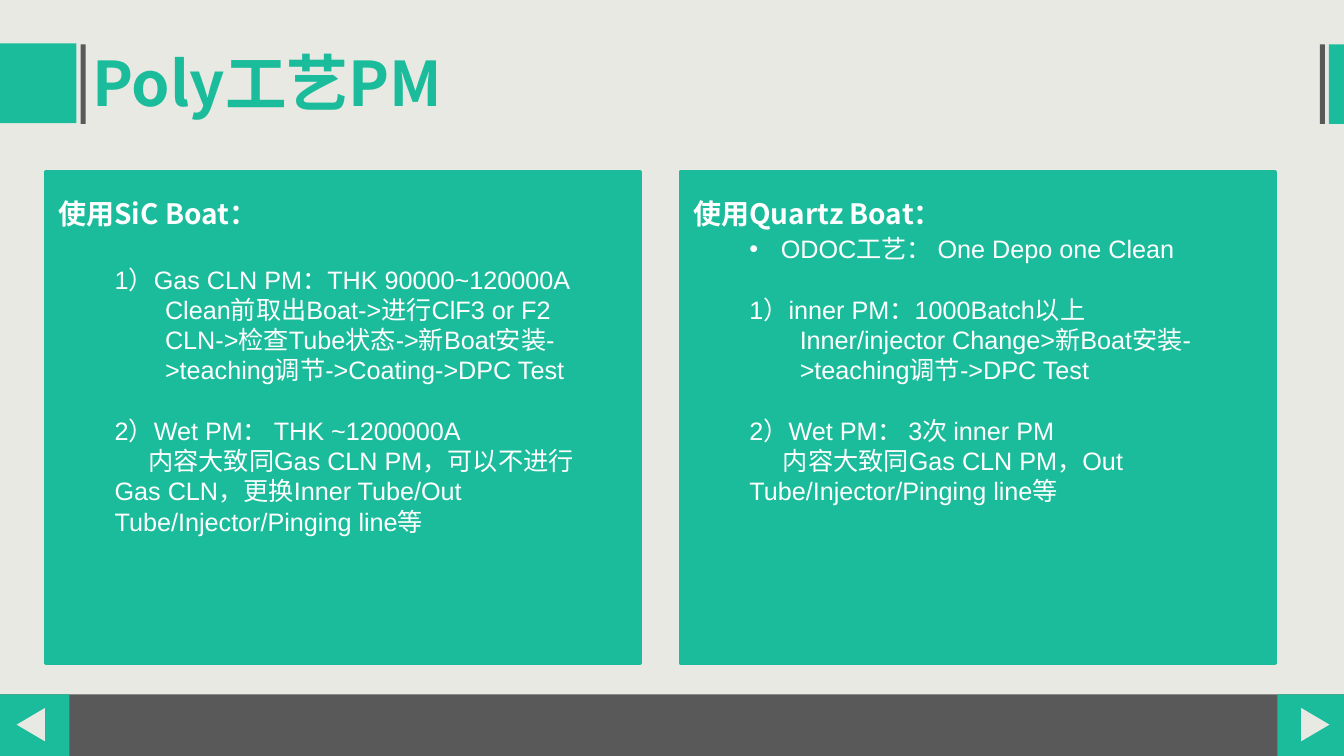
import dataclasses

import pptx
import pptx.dml.color
import pptx.enum.shapes
import pptx.oxml.ns
import pptx.util
from lxml import etree

Pt = pptx.util.Pt
SHAPES = pptx.enum.shapes.MSO_SHAPE


@dataclasses.dataclass(frozen=True)
class Theme:
    """Colours, fonts and type sizes of the slide."""
    paper: str = "E9E9E4"
    green: str = "1BBC9B"
    grey: str = "595959"
    white: str = "FFFFFF"
    heading_font: str = "Noto Sans CJK SC"
    body_font: str = "Arial"
    title_size: int = 44
    heading_size: int = 20
    body_size: int = 18
    line_height: float = 21.6


THEME = Theme()
WIDTH, HEIGHT = 960.48, 540
INDENTS = {"item": (0, 0), "bullet": (22.5, -22.5), "step": (36, 0), "note": (0, 24)}

SIC_BOAT = [
    ("1）Gas CLN PM：THK 90000~120000A", "item", 0),
    ("Clean前取出Boat->进行ClF3 or F2 CLN->检查Tube状态->新Boat安装"
     "->teaching调节->Coating->DPC Test", "step", 0),
    ("2）Wet PM： THK ~1200000A", "item", 1),
    ("内容大致同Gas CLN PM，可以不进行Gas CLN，更换Inner Tube/Out "
     "Tube/Injector/Pinging line等", "note", 0),
]
QUARTZ_BOAT = [
    ("ODOC工艺： One Depo one Clean", "bullet", 0),
    ("1）inner PM：1000Batch以上", "item", 1),
    ("Inner/injector Change>新Boat安装->teaching调节->DPC Test", "step", 0),
    ("2）Wet PM： 3次 inner PM", "item", 1),
    ("内容大致同Gas CLN PM，Out Tube/Injector/Pinging line等", "note", 0),
]


def rgb(colour):
    """Turn a hex string into a colour."""
    return pptx.dml.color.RGBColor.from_string(colour)


def add_block(slide, box, colour, kind=SHAPES.RECTANGLE, rotation=0, outline=0):
    """Draw a flat filled shape in the box."""
    shape = slide.shapes.add_shape(kind, *map(Pt, box))
    shape.shadow.inherit = False
    shape.rotation = rotation
    shape.fill.solid()
    shape.fill.fore_color.rgb = rgb(colour)
    if outline:
        shape.line.color.rgb = rgb(colour)
        shape.line.width = Pt(outline)
    else:
        shape.line.fill.background()


def add_text(slide, box, lines):
    """Add a wrapping text box with one paragraph per line."""
    frame = slide.shapes.add_textbox(*map(Pt, box)).text_frame
    frame.word_wrap = True
    frame.text = "\n".join(lines)
    return frame.paragraphs


def style_run(paragraph, font, size, colour, bold=False):
    """Format the paragraph's runs, with the CJK face for Chinese."""
    for run in paragraph.runs:
        run.font.name = font
        run.font.size = Pt(size)
        run.font.bold = bold
        run.font.color.rgb = rgb(colour)
        east_asian = etree.SubElement(run.font._element, pptx.oxml.ns.qn("a:ea"))
        east_asian.set("typeface", THEME.heading_font)


def indent_paragraph(paragraph, kind):
    """Set the indents, and the bullet where the kind has one."""
    margin, first_line = INDENTS[kind]
    properties = paragraph._p.get_or_add_pPr()
    properties.set("marL", str(int(Pt(margin))))
    properties.set("indent", str(int(Pt(first_line))))
    if kind == "bullet":
        bullet_font = etree.SubElement(properties, pptx.oxml.ns.qn("a:buFont"))
        bullet_font.set("typeface", THEME.body_font)
        bullet = etree.SubElement(properties, pptx.oxml.ns.qn("a:buChar"))
        bullet.set("char", "•")


def add_footer(slide, box):
    """Draw the bottom bar with a button at each end."""
    left, top, width, height = box
    add_block(slide, box, THEME.grey)
    buttons = [(left, 49.7, 10.1, 270), (left + width - 47.5, 47.5, 15.1, 90)]
    for button_left, button_width, arrow_offset, rotation in buttons:
        add_block(slide, (button_left, top, button_width, height), THEME.green)
        arrow = (button_left + arrow_offset, top + 11.5, 23.8, 20.2)
        add_block(slide, arrow, THEME.paper, SHAPES.ISOSCELES_TRIANGLE, rotation)


def add_header(slide, box, title):
    """Draw the title between its edge bars."""
    left, top, width, height = box
    right = left + width
    add_block(slide, (left, top - 0.7, 54.7, height), THEME.green)
    add_block(slide, (left + 57.6, top, 3.6, height), THEME.grey)
    add_block(slide, (right - 10.8, top, 10.8, height), THEME.green)
    add_block(slide, (right - 17.3, top, 3.6, height), THEME.grey)
    paragraphs = add_text(slide, (left + 59, top - 2.9, 330.5, 60.5), [title])
    style_run(paragraphs[0], THEME.heading_font, THEME.title_size, THEME.green, True)


def add_panel(slide, box, heading, entries, skipped_lines=0):
    """Draw a green panel with a heading and its procedure."""
    left, top, width, height = box
    add_block(slide, box, THEME.green, outline=2)
    heading_box = (left + 2.2, top + 14.4, width - 18, 31.7)
    paragraph = add_text(slide, heading_box, [heading])[0]
    paragraph.space_after = Pt(12)
    style_run(paragraph, THEME.heading_font, THEME.heading_size, THEME.white, True)

    offset = 41 + skipped_lines * THEME.line_height
    body_box = (left + 42.5, top + offset, 342.7, height - offset - 60)
    paragraphs = add_text(slide, body_box, [text for text, _, _ in entries])
    for paragraph, (_, kind, gap_lines) in zip(paragraphs, entries):
        if gap_lines:
            paragraph.space_before = Pt(gap_lines * THEME.line_height)
        indent_paragraph(paragraph, kind)
        style_run(paragraph, THEME.body_font, THEME.body_size, THEME.white)


def main():
    """Build the slide and save it."""
    presentation = pptx.Presentation()
    presentation.slide_width, presentation.slide_height = Pt(WIDTH), Pt(HEIGHT)
    slide = presentation.slides.add_slide(presentation.slide_layouts[6])
    slide.background.fill.solid()
    slide.background.fill.fore_color.rgb = rgb(THEME.paper)
    add_footer(slide, (0, 496, WIDTH, 44))
    add_header(slide, (0, 31.7, WIDTH, 56.9), "Poly工艺PM")
    add_panel(slide, (32.4, 122.4, 425.5, 351.4), "使用SiC Boat：", SIC_BOAT, 1)
    add_panel(slide, (486, 122.4, 425.5, 351.4), "使用Quartz Boat：", QUARTZ_BOAT)
    presentation.save("out.pptx")


if __name__ == "__main__":
    main()
